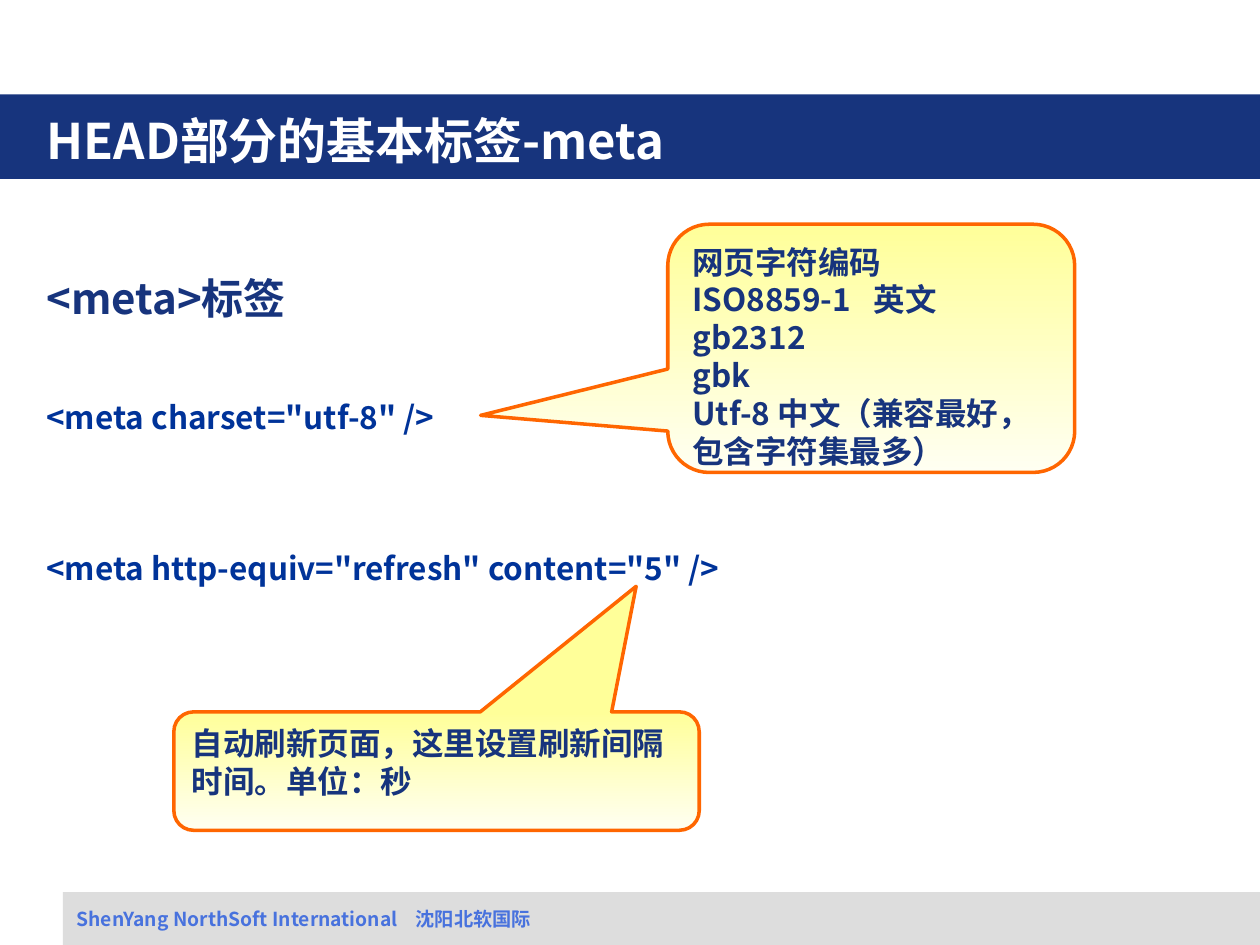
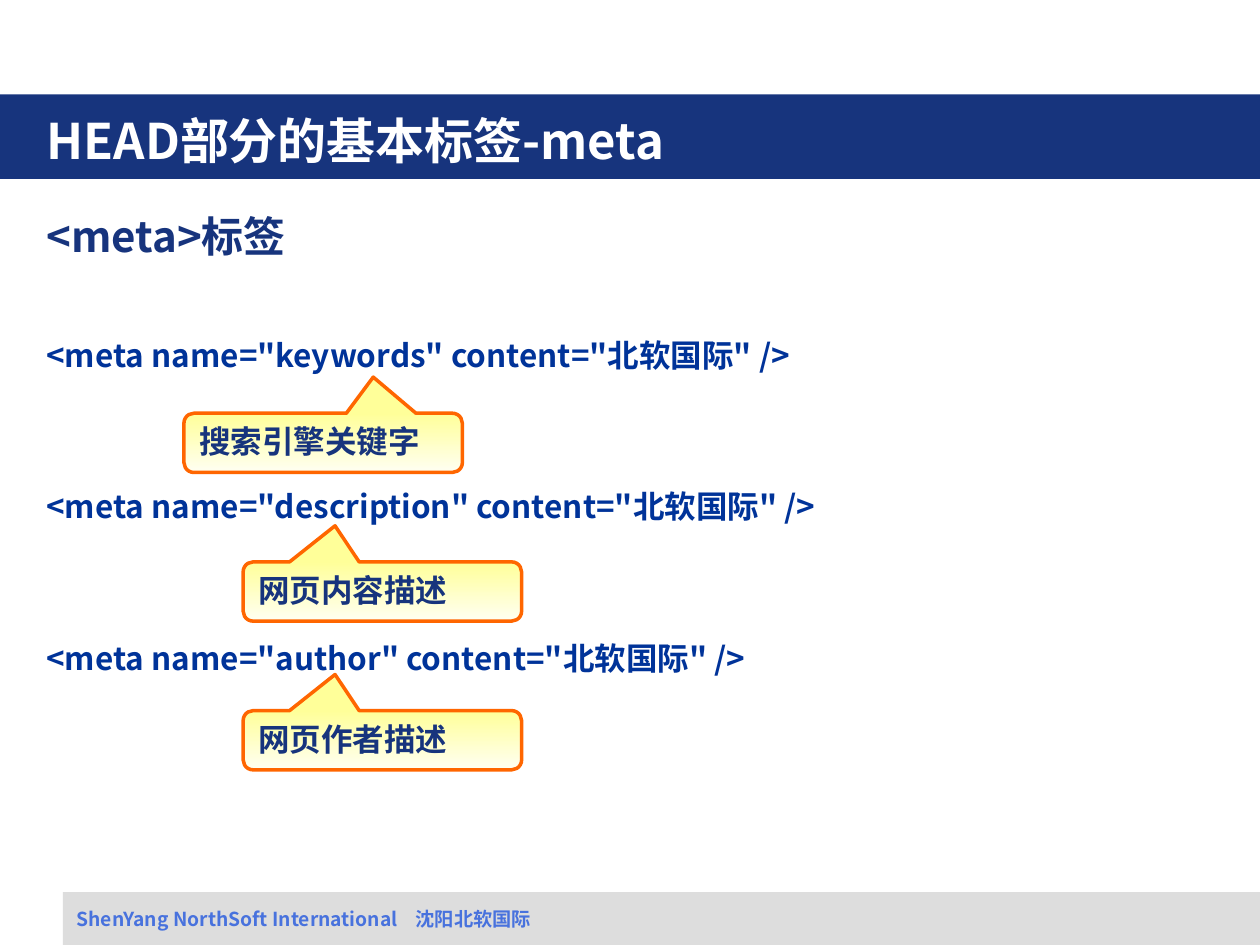
from dataclasses import dataclass

from pptx import Presentation
from pptx.dml.color import RGBColor
from pptx.enum.shapes import MSO_SHAPE
from pptx.enum.text import MSO_ANCHOR, PP_ALIGN
from pptx.oxml.ns import qn
from pptx.util import Inches, Pt
from lxml.etree import SubElement


@dataclass(frozen=True)
class Theme:
    font: str = "Noto Sans CJK SC"
    navy: str = "17347D"
    code_blue: str = "003399"
    footer_blue: str = "4872DD"
    white: str = "FFFFFF"
    grey: str = "DDDDDD"
    callout_top: str = "FFFF99"
    callout_bottom: str = "FFFFF2"
    orange: str = "FF6600"
    title_size: int = 28
    heading_size: int = 24
    body_size: int = 18
    footer_size: int = 11
    outline: int = 2
    line_height: float = 1.2


THEME = Theme()
BODY_LINE = THEME.body_size * THEME.line_height
TITLE = "HEAD部分的基本标签-meta"
COMPANY = "北软国际"
FOOTER = f"ShenYang NorthSoft International\t沈阳{COMPANY}"
HEADING = "<meta>标签"


def color(value):
    return RGBColor.from_string(value)


def add_run(paragraph, text, size, text_color):
    run = paragraph.add_run()
    run.text = text
    run.font.name = THEME.font
    run.font.size = Pt(size)
    run.font.bold = True
    run.font.color.rgb = color(text_color)
    east_asian = SubElement(run.font._element, qn("a:ea"))
    east_asian.set("typeface", THEME.font)


def add_tab_stop(paragraph, position):
    tabs = SubElement(paragraph._p.get_or_add_pPr(), qn("a:tabLst"))
    SubElement(tabs, qn("a:tab"), pos=str(Inches(position)), algn="l")


def write_line(paragraph, text, size, text_color, gap_lines=0, tab=None):
    """Fill a paragraph, leaving the height of gap_lines body lines above it."""
    if tab:
        add_tab_stop(paragraph, tab)
    paragraph.alignment = PP_ALIGN.LEFT
    paragraph.line_spacing = Pt(size * THEME.line_height)
    if gap_lines:
        paragraph.space_before = Pt(gap_lines * BODY_LINE)
    add_run(paragraph, text, size, text_color)


def next_paragraph(frame):
    first = frame.paragraphs[0]
    return frame.add_paragraph() if first.runs else first


def add_text_box(slide, left, top, width, height):
    box = slide.shapes.add_textbox(*map(Inches, (left, top, width, height)))
    box.text_frame.word_wrap = True
    return box.text_frame


def add_layout_band(slide, layout, bounds, fill_color):
    """Draw a band and move it behind everything on the layout."""
    band = slide.shapes.add_shape(MSO_SHAPE.RECTANGLE, *map(Inches, bounds))
    band.shadow.inherit = False
    band.fill.solid()
    band.fill.fore_color.rgb = color(fill_color)
    band.line.fill.background()
    layout.shapes._spTree.insert(2, band._element)


def add_title(slide):
    title = slide.shapes.title
    title.left, title.top, title.width, title.height = map(
        Inches, (0.27, 0.8, 8.26, 0.62))
    title.text_frame.vertical_anchor = MSO_ANCHOR.MIDDLE
    paragraph = title.text_frame.paragraphs[0]
    paragraph.alignment = PP_ALIGN.LEFT
    add_run(paragraph, TITLE, THEME.title_size, THEME.white)


def add_footer(slide):
    frame = add_text_box(slide, 0.51, 7.15, 9.13, 0.29)
    write_line(frame.paragraphs[0], FOOTER, THEME.footer_size,
               THEME.footer_blue, tab=2.69)


def add_meta_tags(slide, top, height, tags):
    frame = add_text_box(slide, 0.27, top, 9.53, height)
    write_line(frame.paragraphs[0], HEADING, THEME.heading_size, THEME.navy)
    for index, tag in enumerate(tags):
        write_line(next_paragraph(frame), tag, THEME.body_size,
                   THEME.code_blue, gap_lines=3 if index else 2)


def add_callout(slide, bounds, tip, lines, tab=None):
    """Add a speech balloon; tip is the pointer's offset from the centre, in shape sizes."""
    callout = slide.shapes.add_shape(
        MSO_SHAPE.ROUNDED_RECTANGULAR_CALLOUT, *map(Inches, bounds))
    callout.adjustments[0], callout.adjustments[1] = tip
    callout.shadow.inherit = False
    callout.fill.gradient()
    callout.fill.gradient_angle = 270
    for stop, shade in zip(callout.fill.gradient_stops,
                           (THEME.callout_top, THEME.callout_bottom)):
        stop.color.rgb = color(shade)
    callout.line.color.rgb = color(THEME.orange)
    callout.line.width = Pt(THEME.outline)
    frame = callout.text_frame
    frame.word_wrap = True
    frame.vertical_anchor = MSO_ANCHOR.TOP
    for line in lines:
        write_line(next_paragraph(frame), line, THEME.body_size, THEME.navy,
                   tab=tab if "\t" in line else None)


def add_meta_slide(presentation, layout):
    slide = presentation.slides.add_slide(layout)
    add_title(slide)
    add_footer(slide)
    return slide


def build_charset_and_refresh(slide):
    add_meta_tags(slide, 2.11, 3.5, [
        '<meta charset="utf-8" />',
        '<meta http-equiv="refresh" content="5" />',
    ])
    add_callout(slide, (5.3, 1.78, 3.23, 1.97), (-0.96, 0.27), [
        "网页字符编码",
        "ISO8859-1\t英文",
        "gb2312",
        "gbk",
        "Utf-8 中文（兼容最好，包含字符集最多）",
    ], tab=1.44)
    add_callout(slide, (1.38, 5.65, 4.17, 0.94), (0.38, -1.56),
                ["自动刷新页面，这里设置刷新间隔时间。单位：秒"])


def build_page_information(slide):
    names = ("keywords", "description", "author")
    add_meta_tags(slide, 1.62, 3.8, [
        f'<meta name="{name}" content="{COMPANY}" />' for name in names])
    notes = [
        ("搜索引擎关键字", 1.46, 0.18),
        ("网页内容描述", 1.93, -0.17),
        ("网页作者描述", 1.93, -0.17),
    ]
    for row, (note, left, tip_x) in enumerate(notes):
        add_callout(slide, (left, 3.28 + 1.18 * row, 2.21, 0.47),
                    (tip_x, -1.11), [note])


def main():
    presentation = Presentation()
    presentation.slide_width = Inches(10)
    presentation.slide_height = Inches(7.5)
    layout = presentation.slide_layouts.get_by_name("Title Only")
    first = add_meta_slide(presentation, layout)
    add_layout_band(first, layout, (0, 0.75, 10, 0.67), THEME.navy)
    add_layout_band(first, layout, (0.5, 7.08, 9.5, 0.42), THEME.grey)
    build_charset_and_refresh(first)
    build_page_information(add_meta_slide(presentation, layout))
    presentation.save("out.pptx")


if __name__ == "__main__":
    main()
